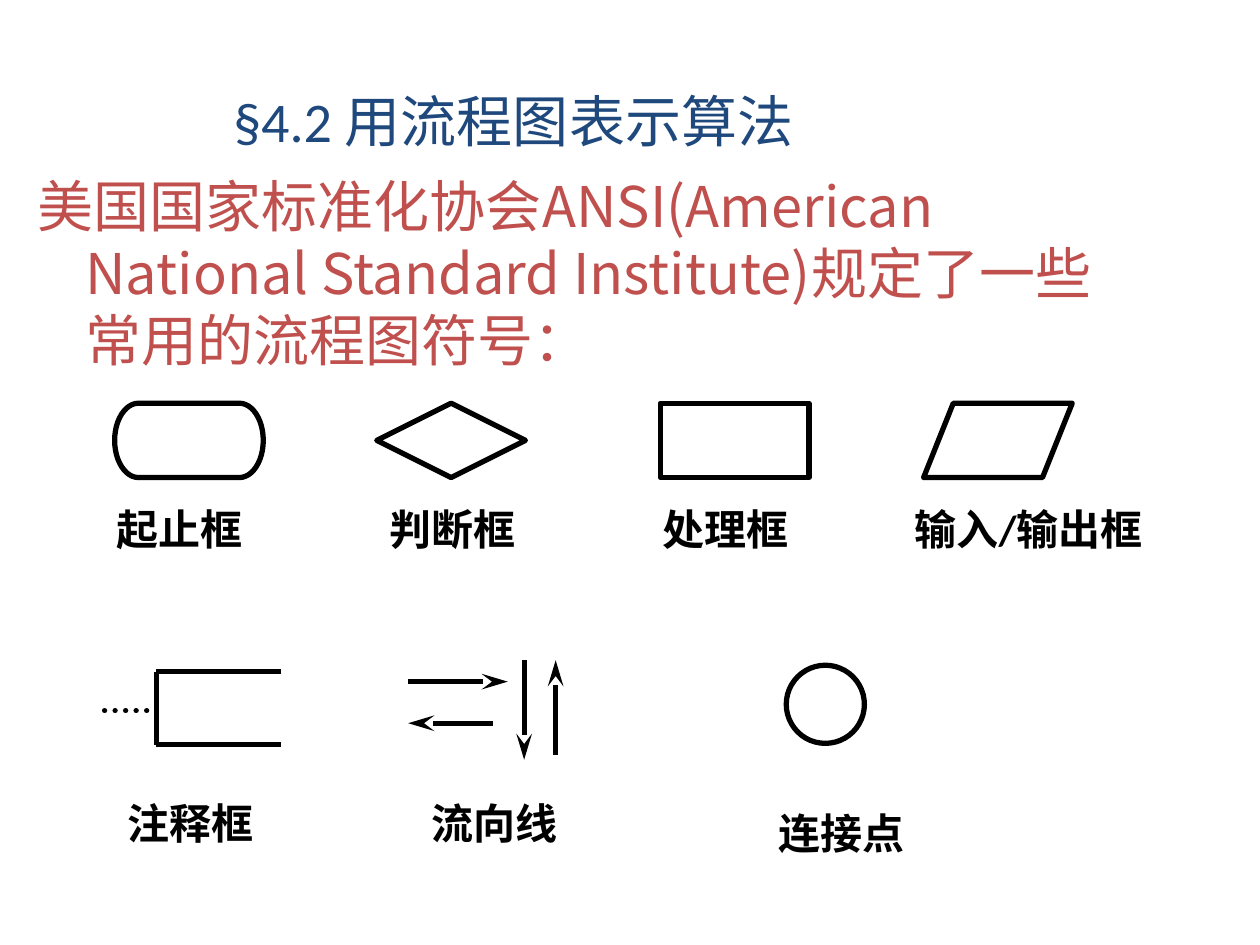
from lxml.etree import SubElement
from pptx import Presentation
from pptx.dml.color import RGBColor
from pptx.enum.dml import MSO_LINE
from pptx.enum.shapes import MSO_CONNECTOR, MSO_SHAPE
from pptx.enum.text import MSO_ANCHOR, PP_ALIGN
from pptx.oxml.ns import qn
from pptx.util import Inches, Pt

COLORS = {"title": "1F497D", "body": "C0504D", "ink": "000000"}
LATIN, CJK = "Calibri", "Noto Sans CJK SC"

TITLE = "§4.2 用流程图表示算法"
INTRO = ("美国国家标准化协会ANSI(American National Standard Institute)"
         "规定了一些常用的流程图符号：")

# preset, left, top, width, height
SYMBOLS = [
    (MSO_SHAPE.FLOWCHART_TERMINATOR, 0.91, 3.2, 1.18, 0.59),
    (MSO_SHAPE.FLOWCHART_DECISION, 2.99, 3.2, 1.18, 0.59),
    (MSO_SHAPE.FLOWCHART_PROCESS, 5.24, 3.2, 1.18, 0.59),
    (MSO_SHAPE.FLOWCHART_DATA, 7.33, 3.2, 1.18, 0.59),
    (MSO_SHAPE.FLOWCHART_CONNECTOR, 6.24, 5.28, 0.62, 0.62),
]
# text, left, top, width, height
LABELS = [
    ("起止框", 0.83, 3.95, 1.42, 0.5),
    ("判断框", 2.99, 3.95, 1.58, 0.5),
    ("处理框", 5.16, 3.95, 1.33, 0.5),
    ("输入/输出框", 7.16, 3.95, 2.08, 0.9),
    ("注释框", 0.91, 6.28, 1.42, 0.5),
    ("流向线", 3.33, 6.28, 1.5, 0.5),
    ("连接点", 6.08, 6.36, 1.92, 0.5),
]
# x1, y1, x2, y2
NOTE_FRAME = [
    (1.24, 5.33, 2.23, 5.33),
    (1.24, 5.91, 2.23, 5.91),
    (1.24, 5.33, 1.24, 5.91),
]
NOTE_LEADER = (0.83, 5.64, 1.22, 5.64)
FLOW_ARROWS = [
    (3.24, 5.41, 4.03, 5.41),
    (4.16, 5.24, 4.16, 6.03),
    (3.91, 5.74, 3.24, 5.74),
    (4.41, 5.99, 4.41, 5.24),
]


def write(p, text, color, **fmt):
    r = p.add_run()
    r.text = text
    r.font.color.rgb = RGBColor.from_string(COLORS[color])
    for name, value in fmt.items():
        setattr(r.font, name, value)
    SubElement(r.font._element, qn("a:ea"), typeface=CJK)


def add_text(slide, box, text, color, **fmt):
    tb = slide.shapes.add_textbox(*map(Inches, box))
    tb.text_frame.word_wrap = True
    p = tb.text_frame.paragraphs[0]
    write(p, text, color, **fmt)
    return p


def style_line(line):
    line.color.rgb = RGBColor.from_string(COLORS["ink"])
    line.width = Pt(3)


def add_line(slide, ends, arrow=False, dotted=False):
    cn = slide.shapes.add_connector(MSO_CONNECTOR.STRAIGHT, *map(Inches, ends))
    style_line(cn.line)
    ln = cn.line._get_or_add_ln()
    if dotted:
        cn.line.dash_style = MSO_LINE.ROUND_DOT
        ln.set("cap", "rnd")
    if arrow:
        SubElement(ln, qn("a:tailEnd"), type="stealth", w="med", len="lg")
    SubElement(cn._element.spPr, qn("a:effectLst"))


def main():
    prs = Presentation()
    prs.slide_width, prs.slide_height = Inches(10), Inches(7.5)
    slide = prs.slides.add_slide(prs.slide_layouts[5])

    title = slide.shapes.title
    title.left, title.top = Inches(0), Inches(0.6)
    title.width, title.height = Inches(8.15), Inches(0.71)
    title.text_frame.vertical_anchor = MSO_ANCHOR.MIDDLE
    p = title.text_frame.paragraphs[0]
    p.alignment = PP_ALIGN.CENTER
    write(p, TITLE, "title", name=LATIN, size=Pt(32))

    p = add_text(slide, (0.2, 1.31, 8.74, 4.65), INTRO, "body",
                 name=CJK, size=Pt(32))
    pPr = p._p.get_or_add_pPr()
    pPr.set("marL", str(Inches(0.38)))
    pPr.set("indent", str(Inches(-0.38)))

    for preset, *box in SYMBOLS:
        sp = slide.shapes.add_shape(preset, *map(Inches, box))
        sp.shadow.inherit = False
        sp.fill.background()
        style_line(sp.line)

    for text, *box in LABELS:
        add_text(slide, box, text, "ink", name=LATIN, size=Pt(24), bold=True)

    for ends in NOTE_FRAME:
        add_line(slide, ends)
    add_line(slide, NOTE_LEADER, dotted=True)
    for ends in FLOW_ARROWS:
        add_line(slide, ends, arrow=True)

    prs.save("out.pptx")


if __name__ == "__main__":
    main()
